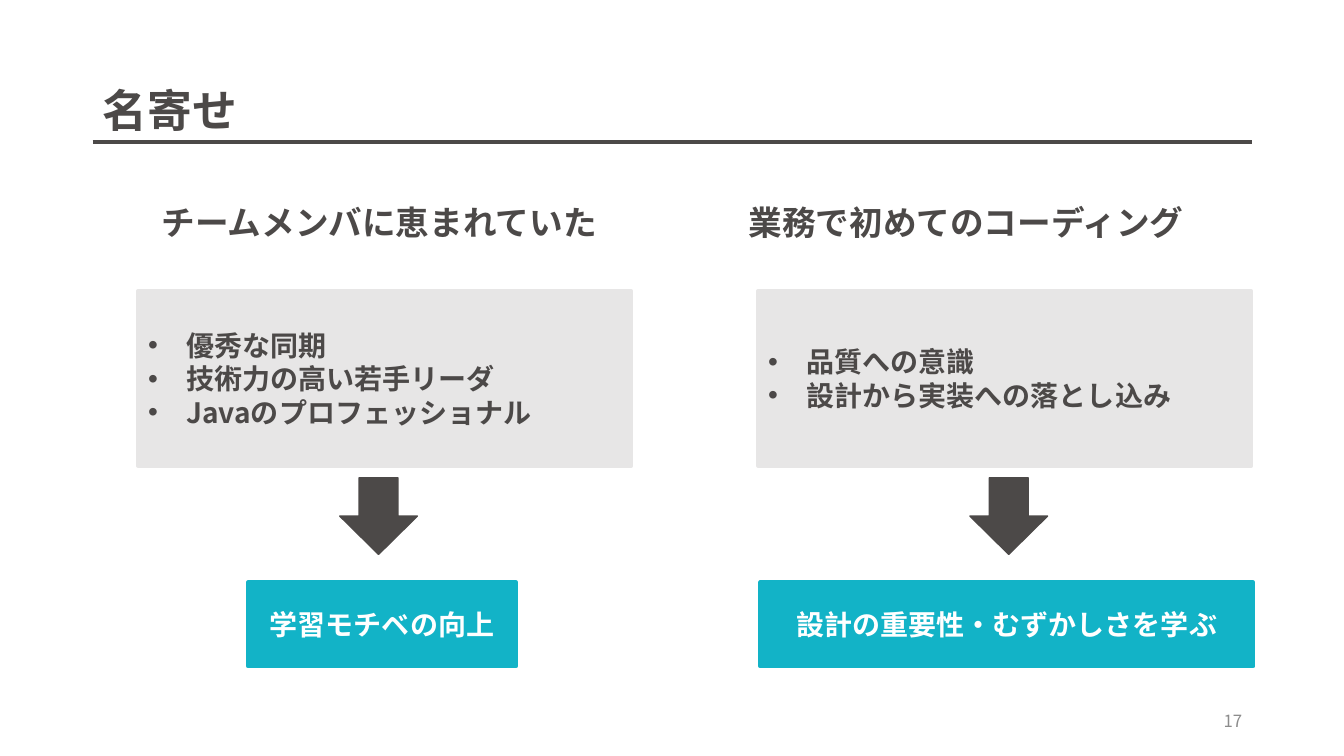
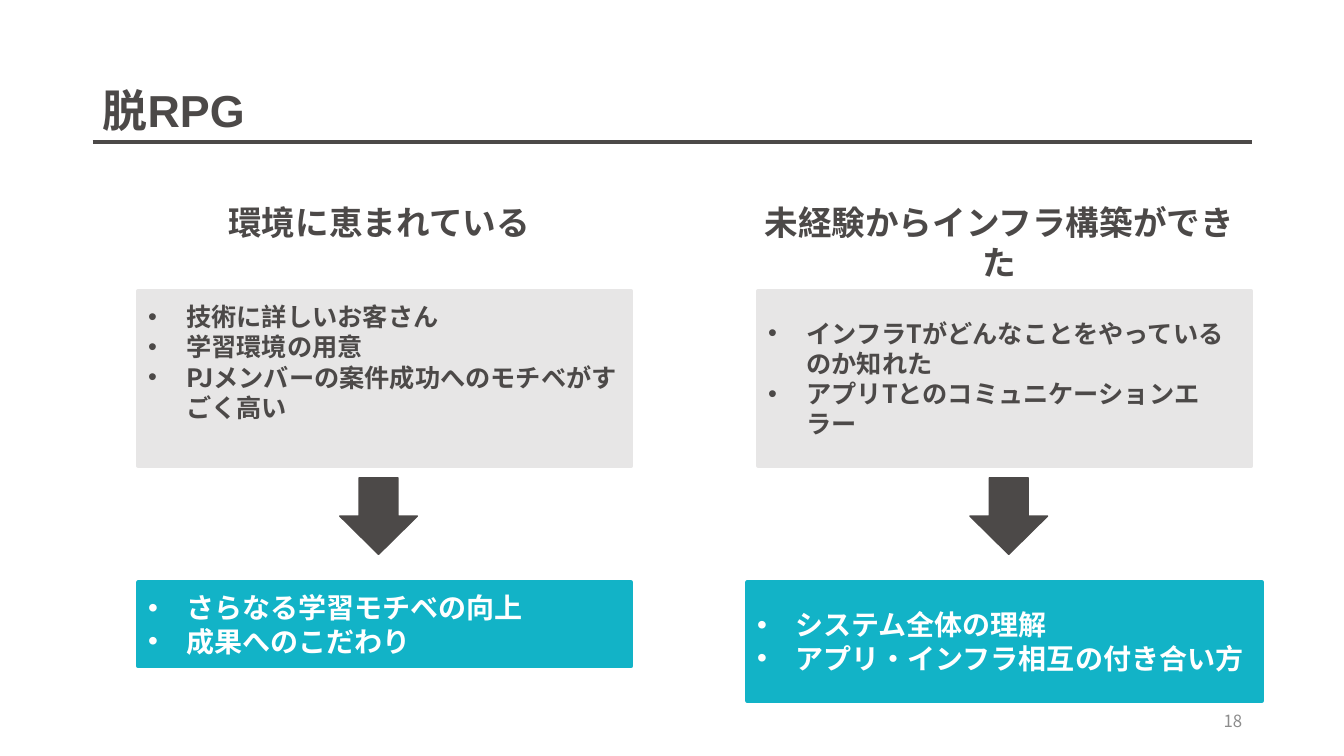
from dataclasses import dataclass

from lxml import etree
from pptx import Presentation
from pptx import util as u
from pptx.dml.color import RGBColor
from pptx.enum import shapes, text
from pptx.oxml.ns import qn

DARK = RGBColor(0x4C, 0x49, 0x48)
PALE = RGBColor(0xE7, 0xE6, 0xE6)
TEAL = RGBColor(0x12, 0xB3, 0xC7)
GREY = RGBColor(0x8C, 0x8C, 0x8C)
WHITE = RGBColor(0xFF, 0xFF, 0xFF)

BODY_FONT = "Noto Sans CJK JP"
TITLE_FONT = "Arial"

SLIDE_WIDTH, SLIDE_HEIGHT = 13.33, 7.5
MARGIN, CONTENT_WIDTH = 0.92, 11.5
COLUMN_LEFT, COLUMN_PITCH, COLUMN_WIDTH = 1.37, 6.15, 4.89
HEADING_TOP, FACTS_TOP, ARROW_TOP, OUTCOME_TOP = 1.95, 2.89, 4.74, 5.78
HEADING_WIDTH = 5.02
FACTS_HEIGHT = 1.73
BULLET_INDENT = 0.38


@dataclass
class Column:
    heading: str
    facts: list
    outcomes: list
    heading_shift: float = -0.12
    arrow_shift: float = 2
    facts_size: int = 20
    facts_bottom: float = 0.05
    outcome_shift: float = 0
    outcome_width: float = COLUMN_WIDTH
    outcome_height: float = 0.83
    outcome_bullets: bool = True


SLIDES = [
    ("名寄せ", 17, [
        Column("チームメンバに恵まれていた",
               ["優秀な同期", "技術力の高い若手リーダ", "Javaのプロフェッショナル"],
               ["学習モチベの向上"],
               outcome_shift=1.09, outcome_width=2.66, outcome_bullets=False),
        Column("業務で初めてのコーディング",
               ["品質への意識", "設計から実装への落とし込み"],
               ["設計の重要性・むずかしさを学ぶ"],
               heading_shift=-0.45, arrow_shift=2.1,
               outcome_shift=0.02, outcome_bullets=False),
    ]),
    ("脱RPG", 18, [
        Column("環境に恵まれている",
               ["技術に詳しいお客さん", "学習環境の用意",
                "PJメンバーの案件成功へのモチベがすごく高い"],
               ["さらなる学習モチベの向上", "成果へのこだわり"],
               facts_size=18, facts_bottom=0.38),
        Column("未経験からインフラ構築ができた",
               ["インフラTがどんなことをやっているのか知れた",
                "アプリTとのコミュニケーションエラー"],
               ["システム全体の理解", "アプリ・インフラ相互の付き合い方"],
               arrow_shift=2.1, facts_size=18,
               outcome_shift=-0.11, outcome_width=5.11, outcome_height=1.17),
    ]),
]


def inches(*lengths):
    return [u.Inches(length) for length in lengths]


def add_bullet(paragraph):
    properties = paragraph._p.get_or_add_pPr()
    properties.set("marL", str(u.Inches(BULLET_INDENT)))
    properties.set("indent", str(-u.Inches(BULLET_INDENT)))
    etree.SubElement(properties, qn("a:buFont")).set("typeface", "Arial")
    etree.SubElement(properties, qn("a:buChar")).set("char", "•")


def write_text(shape, lines, size=20, color=DARK, bold=True, font=BODY_FONT,
               align=text.PP_ALIGN.LEFT, anchor=text.MSO_ANCHOR.MIDDLE,
               bullets=False, line_spacing=None, bottom=0.05):
    frame = shape.text_frame
    frame.word_wrap = True
    frame.vertical_anchor = anchor
    frame.margin_bottom = u.Inches(bottom)
    for index, line in enumerate(lines):
        paragraph = frame.add_paragraph() if index else frame.paragraphs[0]
        paragraph.alignment = align
        if line_spacing:
            paragraph.line_spacing = line_spacing
        if bullets:
            add_bullet(paragraph)
        run = paragraph.add_run()
        run.text = line
        run.font.size = u.Pt(size)
        run.font.bold = bold
        run.font.name = font
        run.font.color.rgb = color
        east_asian = etree.SubElement(run._r.get_or_add_rPr(), qn("a:ea"))
        east_asian.set("typeface", BODY_FONT)


def add_label(slide, box, label, **style):
    write_text(slide.shapes.add_textbox(*inches(*box)), [label], **style)


def add_block(slide, kind, box, color, line_width=3):
    shape = slide.shapes.add_shape(kind, *inches(*box))
    shape.shadow.inherit = False
    shape.fill.solid()
    shape.fill.fore_color.rgb = color
    shape.line.color.rgb = color
    shape.line.width = u.Pt(line_width)
    return shape


def add_frame(slide, title, number):
    right = MARGIN + CONTENT_WIDTH
    rule = slide.shapes.add_connector(
        shapes.MSO_CONNECTOR.STRAIGHT, *inches(MARGIN, 1.41, right, 1.41))
    rule.line.color.rgb = DARK
    rule.line.width = u.Pt(3)
    etree.SubElement(rule._element.spPr, qn("a:effectLst"))
    add_label(slide, (MARGIN, 0.4, CONTENT_WIDTH, 1.45), title,
              size=32, font=TITLE_FONT, line_spacing=0.9)
    add_label(slide, (right - 3, 6.95, 3, 0.4), str(number), size=12,
              color=GREY, bold=False, align=text.PP_ALIGN.RIGHT)


def add_column(slide, index, column):
    left = COLUMN_LEFT + index * COLUMN_PITCH
    rectangle = shapes.MSO_SHAPE.RECTANGLE
    add_label(slide, (left + column.heading_shift, HEADING_TOP, HEADING_WIDTH, 0.5),
              column.heading, size=24, align=text.PP_ALIGN.CENTER,
              anchor=text.MSO_ANCHOR.TOP)
    facts = add_block(slide, rectangle,
                      (left, FACTS_TOP, COLUMN_WIDTH, FACTS_HEIGHT), PALE)
    write_text(facts, column.facts, size=column.facts_size, bullets=True,
               bottom=column.facts_bottom)
    add_block(slide, shapes.MSO_SHAPE.DOWN_ARROW,
              (left + column.arrow_shift, ARROW_TOP, 0.77, 0.76), DARK, line_width=1)
    outcome = add_block(slide, rectangle,
                        (left + column.outcome_shift, OUTCOME_TOP,
                         column.outcome_width, column.outcome_height), TEAL)
    bullets = column.outcome_bullets
    write_text(outcome, column.outcomes, color=WHITE, bullets=bullets,
               align=text.PP_ALIGN.LEFT if bullets else text.PP_ALIGN.CENTER)


def main():
    presentation = Presentation()
    presentation.slide_width, presentation.slide_height = inches(SLIDE_WIDTH, SLIDE_HEIGHT)
    for title, number, columns in SLIDES:
        slide = presentation.slides.add_slide(presentation.slide_layouts[6])
        add_frame(slide, title, number)
        for index, column in enumerate(columns):
            add_column(slide, index, column)
    presentation.save("out.pptx")


if __name__ == "__main__":
    main()
